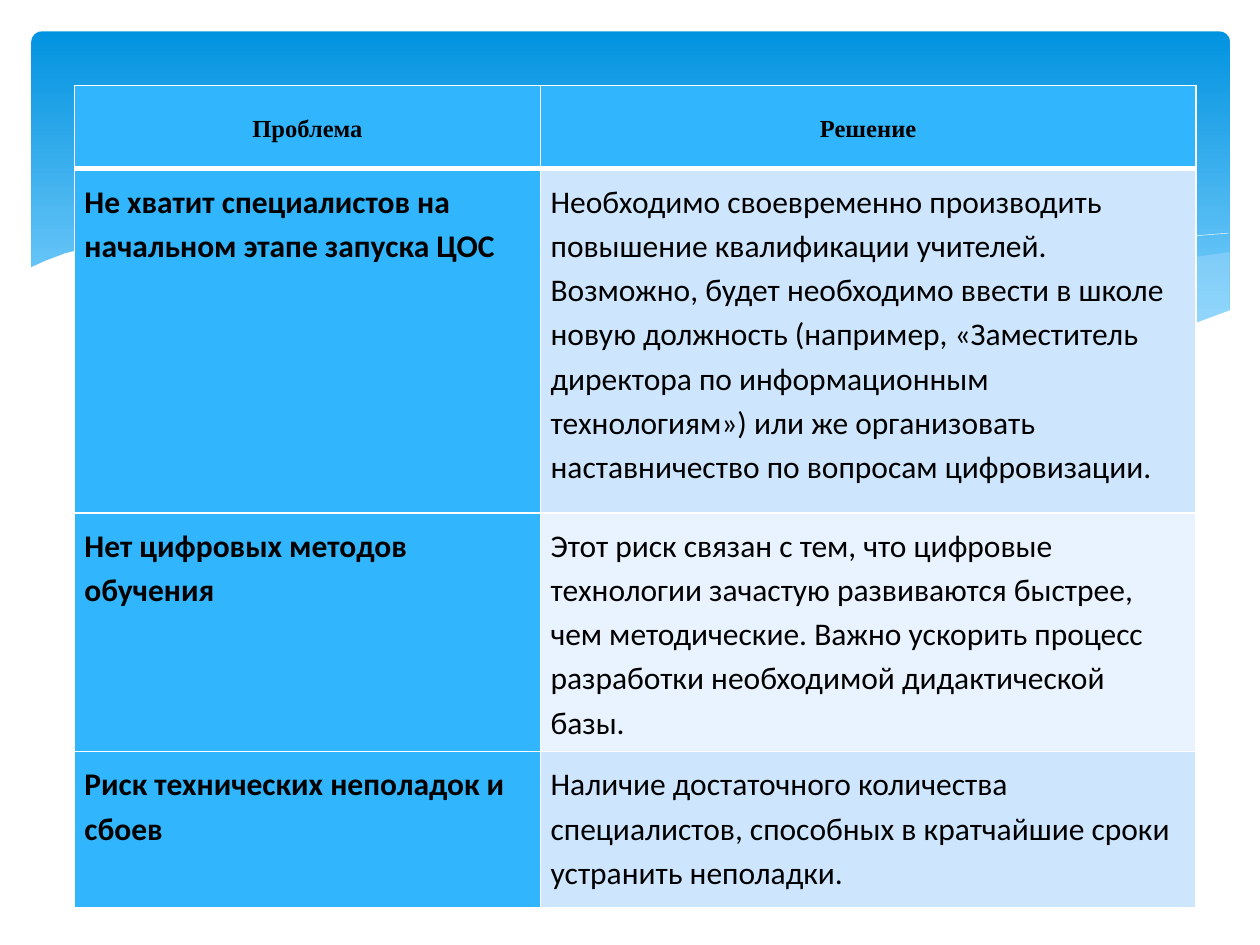
from lxml.etree import SubElement
from pptx import Presentation
from pptx.dml.color import RGBColor
from pptx.enum.shapes import MSO_SHAPE
from pptx.enum.text import MSO_ANCHOR, PP_ALIGN
from pptx.oxml.ns import qn
from pptx.util import Inches, Pt

COLUMNS, ROWS = 10, 7.5
WHITE, BLACK, BLUE = "FFFFFF", "000000", "31B6FD"
BANDS = ["CEE5FE", "E8F3FF"]
COLUMN_SHARES = [3.7, 5.2]
ROW_SHARES = [0.66, 2.73, 1.83, 1.24]

HEADINGS = ["Проблема", "Решение"]
RISKS = [
    ("Не хватит специалистов на начальном этапе запуска ЦОС",
     "Необходимо своевременно производить повышение квалификации учителей. "
     "Возможно, будет необходимо ввести в школе новую должность (например, "
     "«Заместитель директора по информационным технологиям») или же "
     "организовать наставничество по вопросам цифровизации."),
    ("Нет цифровых методов обучения",
     "Этот риск связан с тем, что цифровые технологии зачастую развиваются "
     "быстрее, чем методические. Важно ускорить процесс разработки "
     "необходимой дидактической базы."),
    ("Риск технических неполадок и сбоев",
     "Наличие достаточного количества специалистов, способных в кратчайшие "
     "сроки устранить неполадки."),
]

RIGHT_WAVE = [
    (9.76, 2), (9.48, 2.04), (9.21, 2.1), (8.61, 2.23), (7.79, 2.42),
    (7.06, 2.57), (6.61, 2.65), (7.05, 2.71), (7.57, 2.76), (8.14, 2.78),
    (8.63, 2.75), (9.05, 2.69), (9.42, 2.59), (9.76, 2.47)]
MIDDLE_WAVE = [
    (8.93, 2.73), (8.37, 2.65), (7.75, 2.54), (7.06, 2.4), (6.29, 2.22),
    (5.69, 2.08), (5.14, 1.98), (4.65, 1.91), (4.2, 1.87), (3.61, 1.85),
    (2.86, 1.91), (3.42, 1.99), (4.04, 2.11), (4.91, 2.32), (5.66, 2.48),
    (6.34, 2.61), (6.95, 2.7), (7.48, 2.76), (8.07, 2.78), (8.57, 2.77)]
LONG_CURVE = [
    (3.09, 1.95), (3.53, 1.89), (4.16, 1.87), (4.89, 1.9), (5.56, 1.97),
    (6.36, 2.08), (7.27, 2.26), (8.31, 2.51), (9.07, 2.72)]
RISING_CURVE = [
    (6.13, 2.57), (6.95, 2.35), (7.76, 2.16), (8.66, 1.99), (9.1, 1.92),
    (9.38, 1.88), (9.75, 1.85)]
WHITE_WAVE = [
    (9.77, 2.46), (9.5, 2.56), (9.2, 2.65), (8.87, 2.71), (8.5, 2.75),
    (8.09, 2.77), (7.61, 2.75), (7.08, 2.7), (6.48, 2.62), (5.79, 2.5),
    (5.03, 2.33), (4.47, 2.2), (3.91, 2.07), (3.4, 1.97), (2.92, 1.9),
    (2.5, 1.86), (1.93, 1.84), (1.46, 1.85), (1.06, 1.89), (0.76, 1.95),
    (0.52, 2.01), (0.36, 2.07), (0.23, 2.13), (0.23, 3.29), (9.77, 3.29)]


def color(value):
    return RGBColor.from_string(value)


def add_curve(slide, box, points, closed):
    left, top, width, height = box
    places = [(left + round(x * width / COLUMNS), top + round(y * height / ROWS))
              for x, y in points]
    builder = slide.shapes.build_freeform(*places[0])
    builder.add_line_segments(places[1:], close=closed)
    shape = builder.convert_to_shape()
    shape.shadow.inherit = False
    return shape


def add_wave(slide, box, points, fill, opacity=100):
    shape = add_curve(slide, box, points, True)
    shape.fill.solid()
    shape.fill.fore_color.rgb = color(fill)
    shape.line.fill.background()
    if opacity < 100:
        tone = shape.fill._xPr.find(".//" + qn("a:srgbClr"))
        SubElement(tone, qn("a:alpha"), val=str(opacity * 1000))


def add_thin_curve(slide, box, points):
    shape = add_curve(slide, box, points, False)
    shape.fill.background()
    shape.line.color.rgb = color(WHITE)
    shape.line.width = Pt(0.25)


def add_banner(slide, box):
    left, top, width, height = box
    banner = slide.shapes.add_shape(
        MSO_SHAPE.ROUNDED_RECTANGLE,
        left + round(width * 0.025), top + round(height * 0.25 / ROWS),
        round(width * 0.951), round(height * 0.36))
    banner.adjustments[0] = 0.03
    banner.shadow.inherit = False
    banner.line.fill.background()
    banner.fill.gradient()
    banner.fill.gradient_angle = 270
    for stop, position, tone in zip(
            banner.fill.gradient_stops, (0, 0.9), ("0293E0", "83D3FE")):
        stop.position = position
        stop.color.rgb = color(tone)
    add_wave(slide, box, RIGHT_WAVE, "C6E7FC", 29)
    add_wave(slide, box, MIDDLE_WAVE, "C6E7FC", 40)
    add_thin_curve(slide, box, LONG_CURVE)
    add_thin_curve(slide, box, RISING_CURVE)
    add_wave(slide, box, WHITE_WAVE, WHITE)


def set_borders(cell, bottom, top):
    properties = cell._tc.get_or_add_tcPr()
    widths = {"a:lnL": 1, "a:lnR": 1, "a:lnT": top, "a:lnB": bottom}
    for index, (name, width) in enumerate(widths.items()):
        line = properties.makeelement(qn(name), {"w": str(Pt(width))})
        fill = SubElement(line, qn("a:solidFill"))
        SubElement(fill, qn("a:srgbClr"), val=WHITE)
        properties.insert(index, line)


def fill_cell(cell, text, fill, heading, bold):
    cell.fill.solid()
    cell.fill.fore_color.rgb = color(fill)
    cell.margin_left = cell.margin_right = Inches(0.08)
    cell.margin_top = cell.margin_bottom = Inches(0.05 if heading else 0.07)
    cell.vertical_anchor = MSO_ANCHOR.MIDDLE if heading else MSO_ANCHOR.TOP
    cell.text = text
    paragraph = cell.text_frame.paragraphs[0]
    paragraph.alignment = PP_ALIGN.CENTER if heading else PP_ALIGN.LEFT
    paragraph.line_spacing = 1.15
    paragraph.font.name = "Times New Roman" if heading else "Calibri"
    paragraph.font.size = Pt(14 if heading else 18)
    paragraph.font.bold = bold
    paragraph.font.color.rgb = color(BLACK)


def add_risk_table(slide, box):
    width, height = box[2:]
    table = slide.shapes.add_table(
        len(ROW_SHARES), len(COLUMN_SHARES), *box).table
    for column, share in zip(table.columns, COLUMN_SHARES):
        column.width = round(width * share / sum(COLUMN_SHARES))
    for row, share in zip(table.rows, ROW_SHARES):
        row.height = round(height * share / sum(ROW_SHARES))
    for row_index, texts in enumerate([HEADINGS, *RISKS]):
        heading = row_index == 0
        for column_index, text in enumerate(texts):
            cell = table.cell(row_index, column_index)
            accent = heading or column_index == 0
            fill = BLUE if accent else BANDS[(row_index - 1) % 2]
            fill_cell(cell, text, fill, heading, accent)
            set_borders(cell, bottom=3 if heading else 1,
                        top=3 if row_index == 1 else 1)


def main():
    presentation = Presentation()
    presentation.slide_width = Inches(COLUMNS)
    presentation.slide_height = Inches(ROWS)
    slide = presentation.slides.add_slide(presentation.slide_layouts[6])
    width, height = presentation.slide_width, presentation.slide_height
    add_banner(slide, (0, 0, width, height))
    add_risk_table(slide, (Inches(0.59), Inches(0.68), Inches(8.9), Inches(6.46)))
    presentation.save("out.pptx")


if __name__ == "__main__":
    main()
